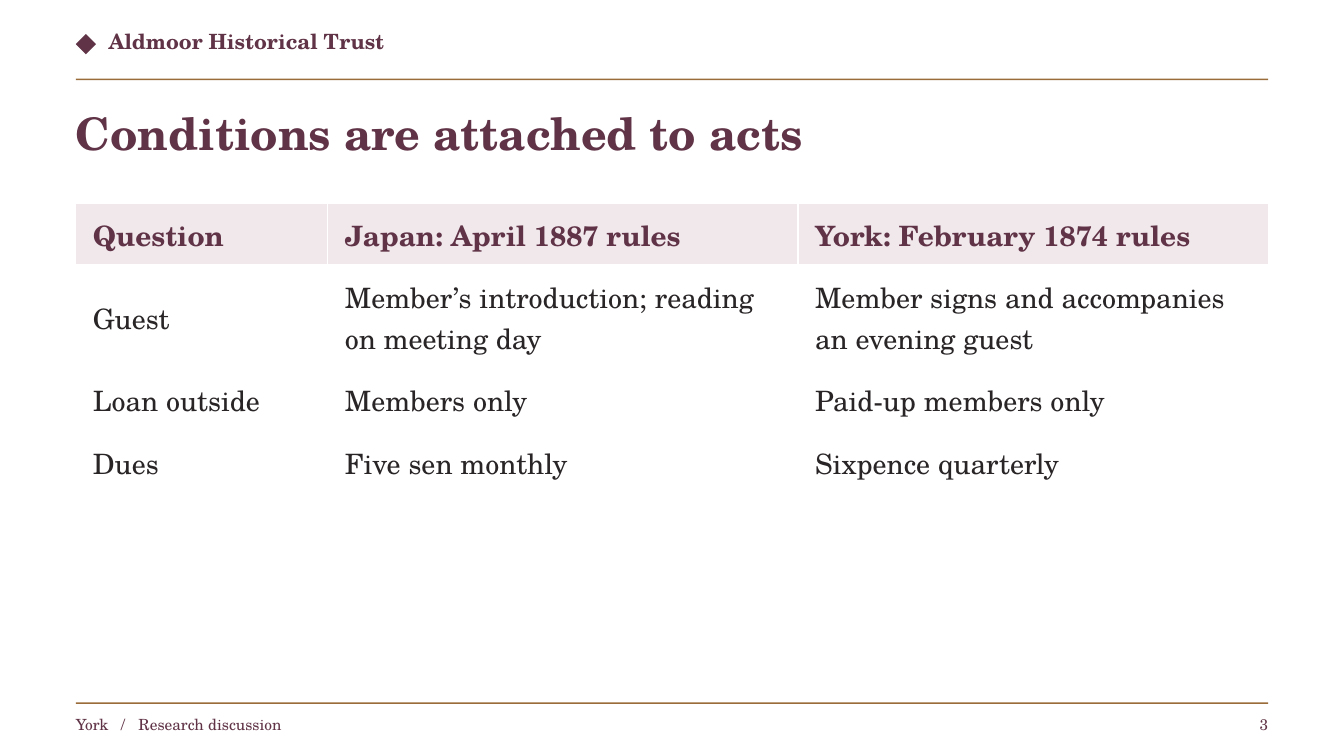
from dataclasses import dataclass

from pptx import Presentation
from pptx import util as u
from pptx.dml.color import RGBColor
from pptx.enum import shapes, text
from pptx.oxml import parse_xml
from pptx.oxml.ns import nsdecls
from pptx.slide import Slide
from pptx.table import _Cell

FONT = "TeX Gyre Schola"
COLORS = {
    "plum": "603346",
    "bronze": "9A6C39",
    "blush": "F1E8EC",
    "ink": "292526",
    "white": "FFFFFF",
}
MARGIN = 1.91
CONTENT_WIDTH = 30.05
FOOTER_TOP = 18.01


@dataclass
class Ornament:
    preset: shapes.MSO_SHAPE
    left: float
    top: float
    width: float
    height: float
    color: str


@dataclass
class Label:
    words: str
    left: float
    top: float
    width: float
    height: float
    size: float
    bold: bool = False
    wrap: bool = True
    align: text.PP_ALIGN = text.PP_ALIGN.LEFT
    tabs: tuple[float, ...] = ()


@dataclass
class Rule:
    entries: tuple[str, str, str]
    height: float = 1.57


ORNAMENTS = [
    Ornament(shapes.MSO_SHAPE.DIAMOND, MARGIN, 0.86, 0.51, 0.51, "plum"),
    Ornament(shapes.MSO_SHAPE.RECTANGLE, MARGIN, 1.98, CONTENT_WIDTH, 0.04, "bronze"),
    Ornament(shapes.MSO_SHAPE.RECTANGLE, MARGIN, 17.7, CONTENT_WIDTH, 0.04, "bronze"),
]

LABELS = [
    Label("Aldmoor Historical Trust", 2.74, 0.71, 20.32, 0.97, 15, bold=True),
    Label("York\t/\tResearch discussion", MARGIN, FOOTER_TOP, 20.32, 0.64, 11,
          tabs=(1.14, 1.58)),
    Label("Conditions are attached to acts", MARGIN, 2.67, CONTENT_WIDTH, 1.83, 32,
          bold=True),
    Label("3", 30.28, FOOTER_TOP, 1.68, 0.64, 11, wrap=False,
          align=text.PP_ALIGN.RIGHT),
]

RULES = [
    Rule(("Question", "Japan: April 1887 rules", "York: February 1874 rules")),
    Rule(("Guest", "Member’s introduction; reading on meeting day",
          "Member signs and accompanies an evening guest"), height=2.61),
    Rule(("Loan outside", "Members only", "Paid-up members only")),
    Rule(("Dues", "Five sen monthly", "Sixpence quarterly")),
]
COLUMN_WIDTHS = (6.35, 11.85, 11.85)


def rgb(name: str) -> RGBColor:
    return RGBColor.from_string(COLORS[name])


def style_font(font, size: float, color: str, bold: bool) -> None:
    font.name = FONT
    font.size = u.Pt(size)
    font.bold = bold
    font.color.rgb = rgb(color)


def draw_ornament(slide: Slide, ornament: Ornament) -> None:
    mark = slide.shapes.add_shape(
        ornament.preset, u.Cm(ornament.left), u.Cm(ornament.top),
        u.Cm(ornament.width), u.Cm(ornament.height))
    mark.shadow.inherit = False
    mark.fill.solid()
    mark.fill.fore_color.rgb = rgb(ornament.color)
    mark.line.fill.background()


def draw_label(slide: Slide, label: Label) -> None:
    frame = slide.shapes.add_textbox(
        u.Cm(label.left), u.Cm(label.top),
        u.Cm(label.width), u.Cm(label.height)).text_frame
    frame.margin_left = frame.margin_right = 0
    frame.margin_top = frame.margin_bottom = 0
    frame.word_wrap = label.wrap
    frame.text = label.words
    paragraph = frame.paragraphs[0]
    paragraph.alignment = label.align
    if label.tabs:
        stops = "".join(f'<a:tab pos="{u.Cm(stop)}" algn="l"/>' for stop in label.tabs)
        paragraph._p.get_or_add_pPr().append(
            parse_xml(f'<a:tabLst {nsdecls("a")}>{stops}</a:tabLst>'))
    for run in paragraph.runs:
        style_font(run.font, label.size, "plum", label.bold)


def draw_borders(cell: _Cell, bottom: float) -> None:
    properties = cell._tc.get_or_add_tcPr()
    widths = {"lnL": 1, "lnR": 1, "lnT": 1, "lnB": bottom}
    for position, (side, width) in enumerate(widths.items()):
        properties.insert(position, parse_xml(
            f'<a:{side} {nsdecls("a")} w="{u.Pt(width)}"><a:solidFill>'
            f'<a:srgbClr val="{COLORS["white"]}"/></a:solidFill></a:{side}>'))


def fill_cell(cell: _Cell, words: str, heading: bool) -> None:
    cell.text = words
    cell.vertical_anchor = text.MSO_ANCHOR.MIDDLE
    cell.margin_left = cell.margin_right = u.Cm(0.43)
    cell.margin_top = cell.margin_bottom = u.Cm(0.25)
    cell.fill.solid()
    cell.fill.fore_color.rgb = rgb("blush" if heading else "white")
    for run in cell.text_frame.paragraphs[0].runs:
        style_font(run.font, 20, "plum" if heading else "ink", heading)
    draw_borders(cell, 3 if heading else 1)


def draw_rules(slide: Slide) -> None:
    comparison = slide.shapes.add_table(
        len(RULES), len(COLUMN_WIDTHS), u.Cm(MARGIN), u.Cm(5.13),
        u.Cm(CONTENT_WIDTH), u.Cm(sum(rule.height for rule in RULES))).table
    for column, width in zip(comparison.columns, COLUMN_WIDTHS):
        column.width = u.Cm(width)
    for row_index, rule in enumerate(RULES):
        comparison.rows[row_index].height = u.Cm(rule.height)
        for column_index, words in enumerate(rule.entries):
            fill_cell(comparison.cell(row_index, column_index), words, row_index == 0)


def main() -> None:
    deck = Presentation()
    deck.slide_width = u.Cm(33.87)
    deck.slide_height = u.Cm(19.05)
    slide = deck.slides.add_slide(deck.slide_layouts[6])
    for ornament in ORNAMENTS:
        draw_ornament(slide, ornament)
    for label in LABELS:
        draw_label(slide, label)
    draw_rules(slide)
    deck.save("out.pptx")


if __name__ == "__main__":
    main()
